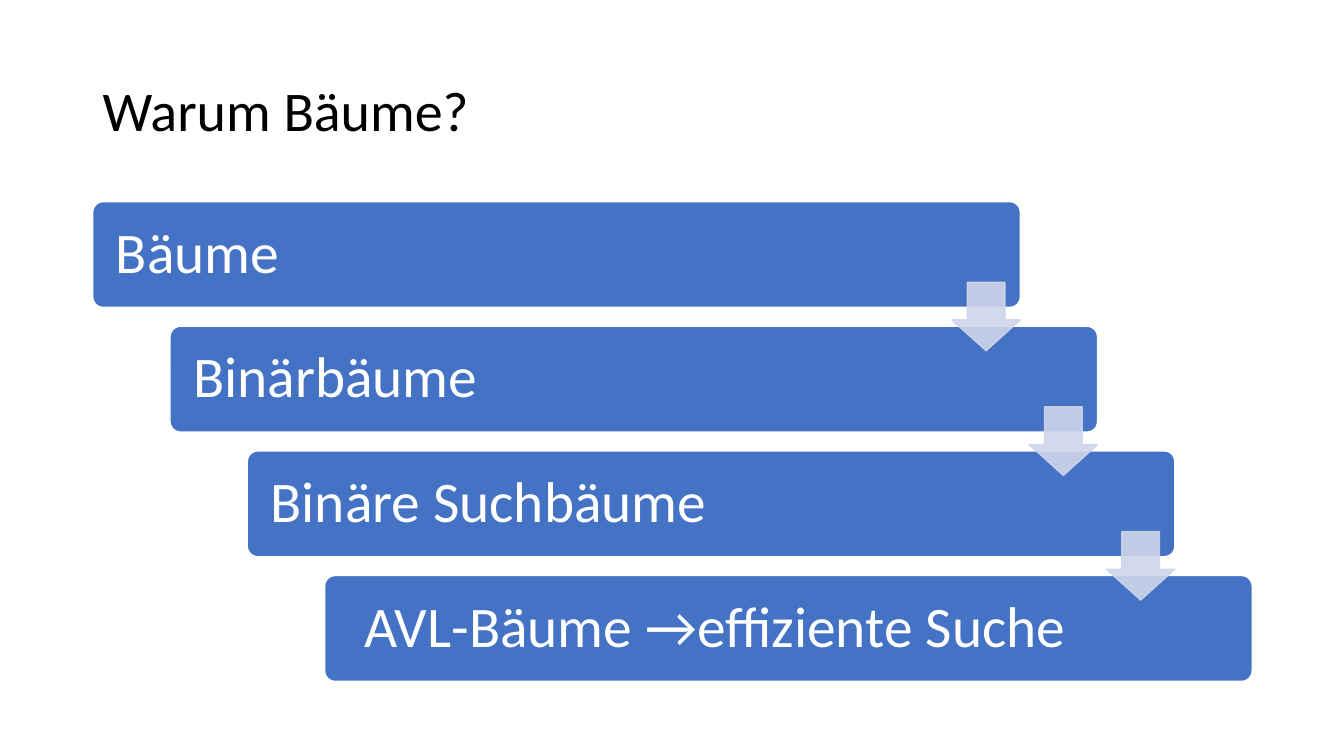
from pptx import Presentation
from pptx.dml.color import RGBColor
from pptx.enum.shapes import MSO_SHAPE
from pptx.enum.text import MSO_ANCHOR, PP_ALIGN
from pptx.oxml.ns import qn
from pptx.util import Inches, Pt
from lxml.etree import SubElement

TITLE = "Warum Bäume?"
STEPS = [
    ("Bäume", PP_ALIGN.LEFT),
    ("Binärbäume", PP_ALIGN.LEFT),
    ("Binäre Suchbäume", PP_ALIGN.LEFT),
    ("AVL-Bäume →effiziente Suche", PP_ALIGN.CENTER),
]
FONT = "Calibri"
BLUE, PALE, WHITE, BLACK = "4472C4", "CFD5EA", "FFFFFF", "000000"

LEFT, TOP, WIDTH, HEIGHT = 0.92, 2, 11.5, 4.76
BAR_W, BAR_H = 9.2, 1.05
DX = (WIDTH - BAR_W) / (len(STEPS) - 1)
DY = (HEIGHT - BAR_H) / (len(STEPS) - 1)
ARROW, ARROW_DROP = 0.68, 0.8
PAD_LEFT, PAD_RIGHT, PAD_Y = 0.2, 1.65, 0.2


def rgb(color):
    return RGBColor.from_string(color)


def write(tf, text, size, color, align=PP_ALIGN.LEFT):
    tf.word_wrap = True
    tf.vertical_anchor = MSO_ANCHOR.MIDDLE
    p = tf.paragraphs[0]
    p.text = text
    p.alignment = align
    p.line_spacing = 0.9
    p.font.name = FONT
    p.font.size = Pt(size)
    p.font.color.rgb = rgb(color)


def add_shape(s, kind, x, y, w, h, adjustments, fill, line):
    sp = s.shapes.add_shape(kind, Inches(x), Inches(y), Inches(w), Inches(h))
    for i, value in enumerate(adjustments):
        sp.adjustments[i] = value
    sp.shadow.inherit = False
    sp.fill.solid()
    sp.fill.fore_color.rgb = rgb(fill)
    sp.line.color.rgb = rgb(line)
    sp.line.width = Pt(1)
    return sp


def add_bar(s, x, y, text, align):
    sp = add_shape(s, MSO_SHAPE.ROUNDED_RECTANGLE, x, y, BAR_W, BAR_H, [0.1], BLUE, WHITE)
    tf = sp.text_frame
    tf.margin_left, tf.margin_right = Inches(PAD_LEFT), Inches(PAD_RIGHT)
    tf.margin_top = tf.margin_bottom = Inches(PAD_Y)
    write(tf, text, 41, WHITE, align)


def add_arrow(s, x, y):
    sp = add_shape(s, MSO_SHAPE.DOWN_ARROW, x, y, ARROW, ARROW, [0.55, 0.45], PALE, PALE)
    for color in sp._element.spPr.iter(qn("a:srgbClr")):
        SubElement(color, qn("a:alpha")).set("val", "90000")


def main():
    prs = Presentation()
    prs.slide_width, prs.slide_height = Inches(13.33), Inches(7.5)
    s = prs.slides.add_slide(prs.slide_layouts[6])
    title = s.shapes.add_textbox(Inches(LEFT), Inches(0.4), Inches(WIDTH), Inches(1.45))
    write(title.text_frame, TITLE, 40, BLACK)

    corners = [(LEFT + i * DX, TOP + i * DY) for i in range(len(STEPS))]
    for (x, y), (text, align) in zip(corners, STEPS):
        add_bar(s, x, y, text, align)
    for x, y in corners[:-1]:
        add_arrow(s, x + BAR_W - ARROW, y + ARROW_DROP)
    prs.save("out.pptx")


if __name__ == "__main__":
    main()
